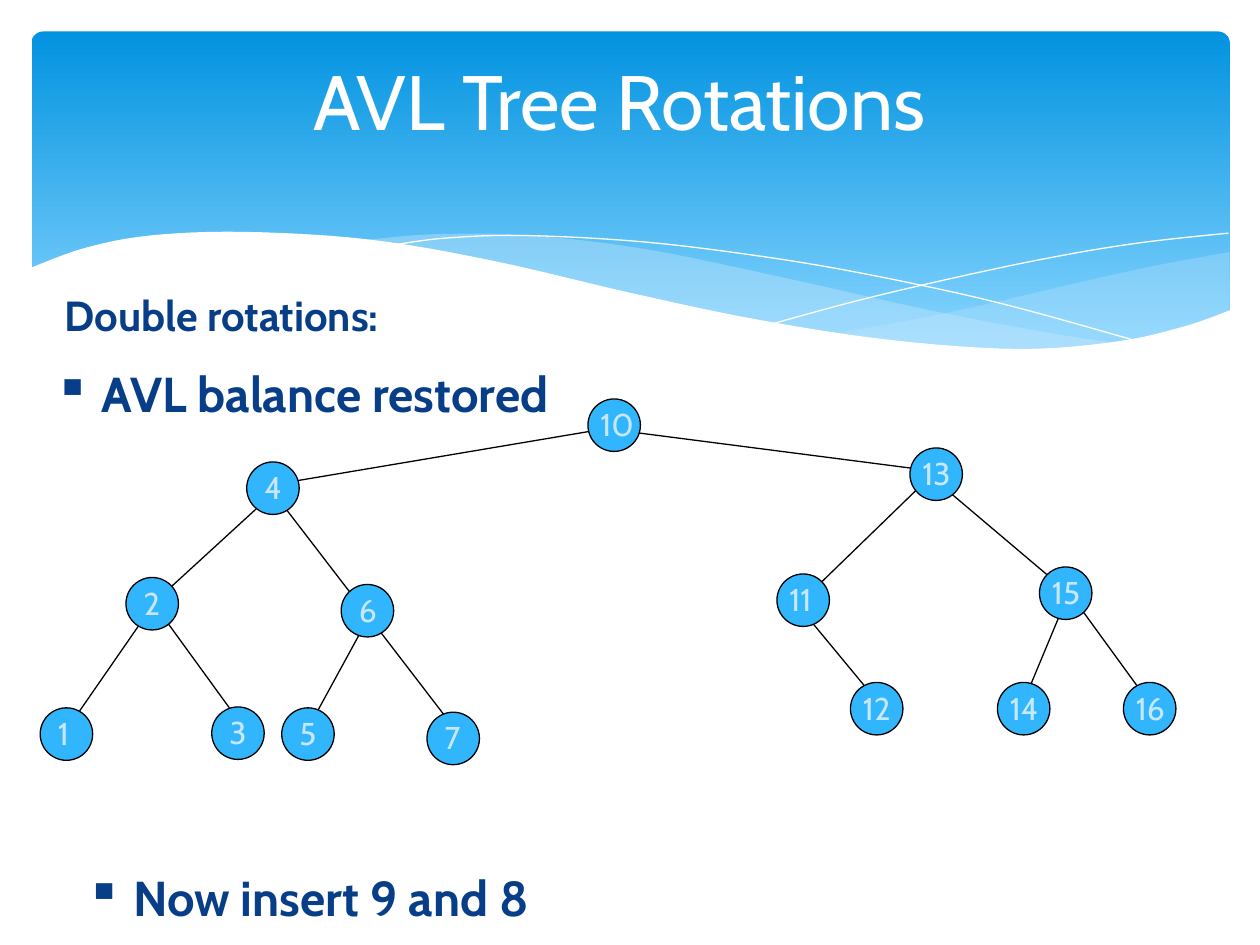
from dataclasses import dataclass

import lxml.etree
import pptx
import pptx.dml.color
import pptx.enum.shapes
import pptx.enum.text
import pptx.oxml.ns
import pptx.util

Pt = pptx.util.Pt
qn = pptx.oxml.ns.qn
Shape = pptx.enum.shapes.MSO_SHAPE
Point = tuple[float, float]
Run = list[Point]


@dataclass(frozen=True)
class Theme:
    font: str = "Cabin"
    white: str = "FFFFFF"
    black: str = "000000"
    top: str = "0293E0"
    low: str = "83D3FE"
    pale: str = "C6E7FC"
    node: str = "31B6FD"
    navy: str = "073E87"
    title: float = 44
    point: float = 28
    head: float = 24
    label: float = 18
    edge: float = 0.75
    disc: float = 30


@dataclass(frozen=True)
class Wave:
    runs: list[Run]  # each run is smoothed, then all are joined
    alpha: int | None = None  # opacity in percent; None is an open line


@dataclass(frozen=True)
class Node:
    label: str
    x: float
    y: float


@dataclass(frozen=True)
class Note:
    text: str
    x: float
    y: float
    width: float
    height: float
    size: float
    color: str
    bold: bool = True
    hang: float = 0
    bullet: str = ""


THEME = Theme()

# Header waves, from back to front
WAVES = [
    Wave([[(475.9, 190.8), (542.2, 178.6), (619.9, 160.6), (663.1, 151.2), (702.7, 144)],
          [(702.7, 177.8), (668.2, 189.4), (627.8, 197.3), (578.2, 200.2), (527, 197.3),
           (475.9, 190.8)]], 29),
    Wave([[(205.9, 137.5), (247.7, 133.9), (302.4, 134.6), (370.1, 142.6), (452.9, 159.8),
           (533.5, 177.8), (602.6, 190.8), (643, 196.6)],
          [(643, 196.6), (596.2, 200.2), (538.6, 198.7), (478.8, 191.5), (407.5, 178.6),
           (323.3, 159.8), (260.6, 146.2), (205.9, 137.5)]], 40),
    Wave([[(222.5, 140.4), (254.2, 136.1), (299.5, 134.6), (367.2, 138.2), (437.8, 146.9),
           (500.4, 157.7), (572.4, 173.5), (653, 195.8)]]),
    Wave([[(441.4, 185), (500.4, 169.2), (580.3, 151.2), (644.4, 139.7), (702, 133.2)]]),
    Wave([[(16.6, 153.4), (48.2, 141.8), (85.7, 134.6), (139, 132.5), (210.2, 136.8),
           (281.5, 149), (362.2, 167.8), (434.2, 182.9), (509.8, 194.4), (582.5, 199.4),
           (638.6, 195.1), (676.8, 186.5), (703.4, 177.1)],
          [(703.4, 236.9), (16.6, 236.9)]], 100),
]

# Tree edges, as x and y of both ends
EDGES = [
    (210, 354, 174, 420), (90, 342, 36, 420), (90, 348, 138, 414), (156, 282, 84, 348),
    (612, 340, 660, 406), (456, 346, 504, 404), (354, 246, 540, 270), (162, 276, 352, 244),
    (612, 336, 582, 408), (152, 276, 258, 414), (534, 270, 468, 334), (534, 274, 612, 340),
]

NODES = [
    Node("10", 336, 228), Node("13", 520, 256), Node("15", 594, 324), Node("4", 141, 264),
    Node("11", 444, 328), Node("2", 72, 330), Node("6", 195, 334), Node("7", 244, 407),
    Node("12", 486, 390), Node("14", 570, 390), Node("16", 642, 390), Node("3", 121, 404),
    Node("1", 23, 404.5), Node("5", 161, 404.5),
]

NOTES = [
    Note("AVL balance restored", 24, 204, 309, 48, THEME.point, THEME.navy, hang=27, bullet="▪"),
    Note("Now insert 9 and 8", 42, 492, 309, 48, THEME.point, THEME.navy, hang=27, bullet="▪"),
    Note("Double rotations:", 30, 162, 672, 48, THEME.head, THEME.navy, hang=21.6),
]


def rgb(code: str) -> pptx.dml.color.RGBColor:
    return pptx.dml.color.RGBColor.from_string(code)


def smooth(run: Run, steps: int = 6) -> Run:
    """Catmull-Rom curve through the points of a run."""
    if len(run) < 3:
        return run
    ends = [run[0], *run, run[-1]]
    out = [run[0]]
    for a, b, c, d in zip(ends, ends[1:], ends[2:], ends[3:]):
        for step in range(1, steps + 1):
            t = step / steps
            x, y = (
                q + t / 2 * (r - p + t * (2 * p - 5 * q + 4 * r - s + t * (3 * (q - r) + s - p)))
                for p, q, r, s in zip(a, b, c, d)
            )
            out.append((x, y))
    return out


def add_panel(shapes) -> None:
    panel = shapes.add_shape(Shape.ROUNDED_RECTANGLE, Pt(18), Pt(18), Pt(684.7), Pt(194.4))
    panel.adjustments[0] = 0.034
    panel.shadow.inherit = False
    panel.line.fill.background()
    panel.fill.gradient()
    panel.fill.gradient_angle = 270
    ramp = ((0, THEME.top), (0.9, THEME.low))
    for stop, (place, code) in zip(panel.fill.gradient_stops, ramp):
        stop.position = place
        stop.color.rgb = rgb(code)


def add_wave(shapes, wave: Wave) -> None:
    dots = [(Pt(x), Pt(y)) for run in wave.runs for x, y in smooth(run)]
    pen = shapes.build_freeform(*dots[0])
    pen.add_line_segments(dots[1:], close=wave.alpha is not None)
    shape = pen.convert_to_shape()
    shape.shadow.inherit = False
    if wave.alpha is None:
        shape.fill.background()
        shape.line.color.rgb = rgb(THEME.white)
        shape.line.width = Pt(0)
        return
    shape.line.fill.background()
    shape.fill.solid()
    shape.fill.fore_color.rgb = rgb(THEME.white if wave.alpha == 100 else THEME.pale)
    if wave.alpha < 100:
        tint = shape.fill._xPr.find(".//" + qn("a:srgbClr"))
        lxml.etree.SubElement(tint, qn("a:alpha"), val=str(wave.alpha * 1000))


def add_edge(shapes, ends: tuple[float, float, float, float]) -> None:
    kind = pptx.enum.shapes.MSO_CONNECTOR.STRAIGHT
    edge = shapes.add_connector(kind, *map(Pt, ends))
    edge.line.color.rgb = rgb(THEME.black)
    edge.line.width = Pt(THEME.edge)
    lxml.etree.SubElement(edge._element.spPr, qn("a:effectLst"))


def add_note(shapes, note: Note):
    box = shapes.add_textbox(Pt(note.x), Pt(note.y), Pt(note.width), Pt(note.height))
    frame = box.text_frame
    frame.word_wrap = True
    frame.text = note.text
    para = frame.paragraphs[0]
    if note.hang:
        props = para._p.get_or_add_pPr()
        props.set("marL", str(Pt(note.hang)))
        props.set("indent", str(-Pt(note.hang)))
        if note.bullet:
            lxml.etree.SubElement(props, qn("a:buChar"), char=note.bullet)
    font = para.runs[0].font
    font.name = THEME.font
    font.size = Pt(note.size)
    font.bold = note.bold
    font.color.rgb = rgb(note.color)
    return frame


def add_node(shapes, node: Node) -> None:
    size = Pt(THEME.disc)
    disc = shapes.add_shape(Shape.OVAL, Pt(node.x), Pt(node.y), size, size)
    disc.shadow.inherit = False
    disc.fill.solid()
    disc.fill.fore_color.rgb = rgb(THEME.node)
    disc.line.color.rgb = rgb(THEME.black)
    disc.line.width = Pt(THEME.edge)
    shift = 3 if len(node.label) == 1 else 0
    frame = add_note(shapes, Note(node.label, node.x + shift, node.y, 36, 29,
                                  THEME.label, THEME.pale, bold=False))
    frame.auto_size = pptx.enum.text.MSO_AUTO_SIZE.SHAPE_TO_FIT_TEXT


def main() -> None:
    deck = pptx.Presentation()
    deck.slide_width, deck.slide_height = Pt(720), Pt(540)
    shapes = deck.slides.add_slide(deck.slide_layouts[6]).shapes

    # Header
    add_panel(shapes)
    for wave in WAVES:
        add_wave(shapes, wave)
    title = Note("AVL Tree Rotations", 48, 12, 612, 90, THEME.title, THEME.white, bold=False)
    frame = add_note(shapes, title)
    frame.vertical_anchor = pptx.enum.text.MSO_ANCHOR.MIDDLE
    frame.paragraphs[0].alignment = pptx.enum.text.PP_ALIGN.CENTER

    # Tree, edges under nodes
    for ends in EDGES:
        add_edge(shapes, ends)
    for node in NODES:
        add_node(shapes, node)

    # Remarks
    for note in NOTES:
        add_note(shapes, note)

    deck.save("out.pptx")


if __name__ == "__main__":
    main()
